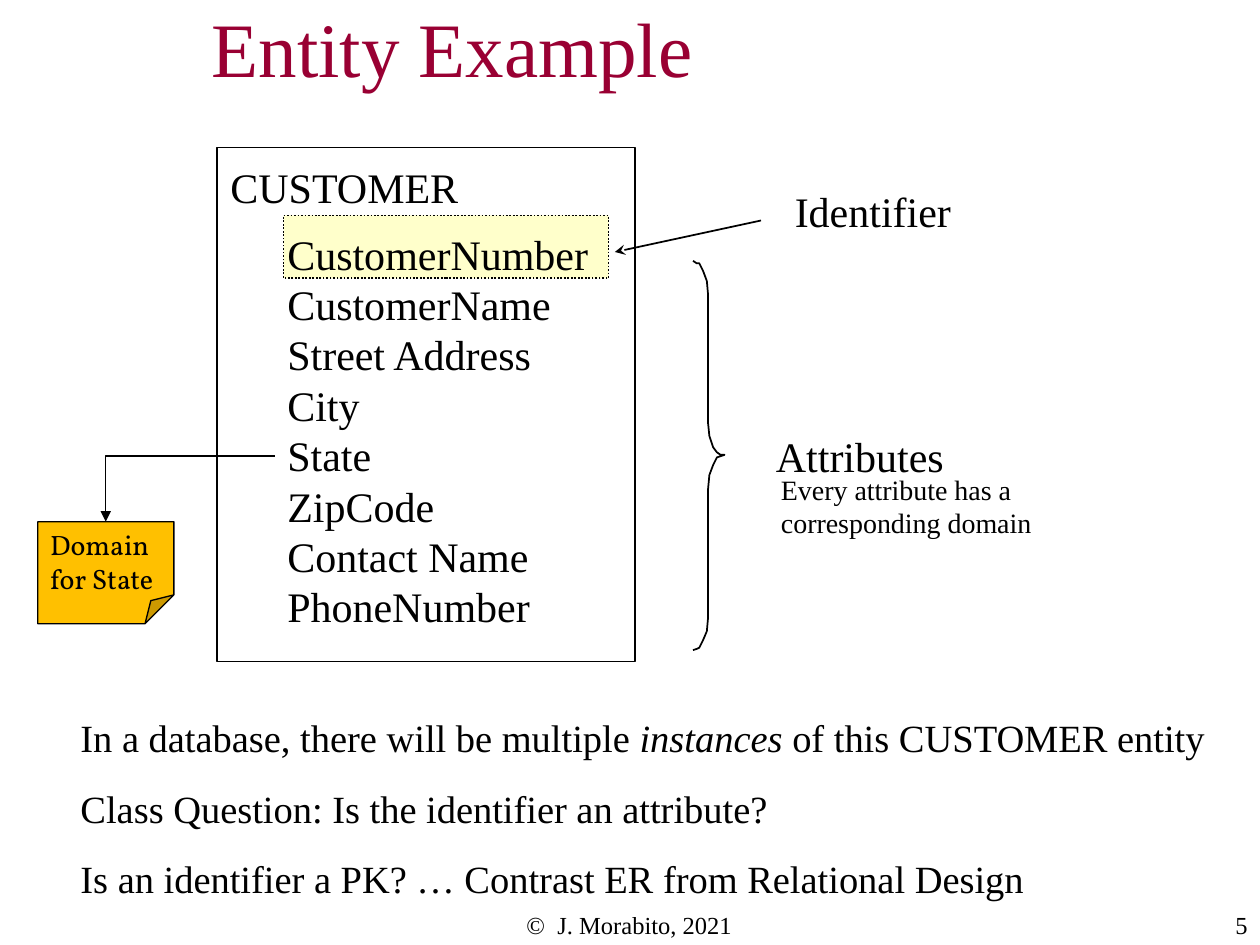
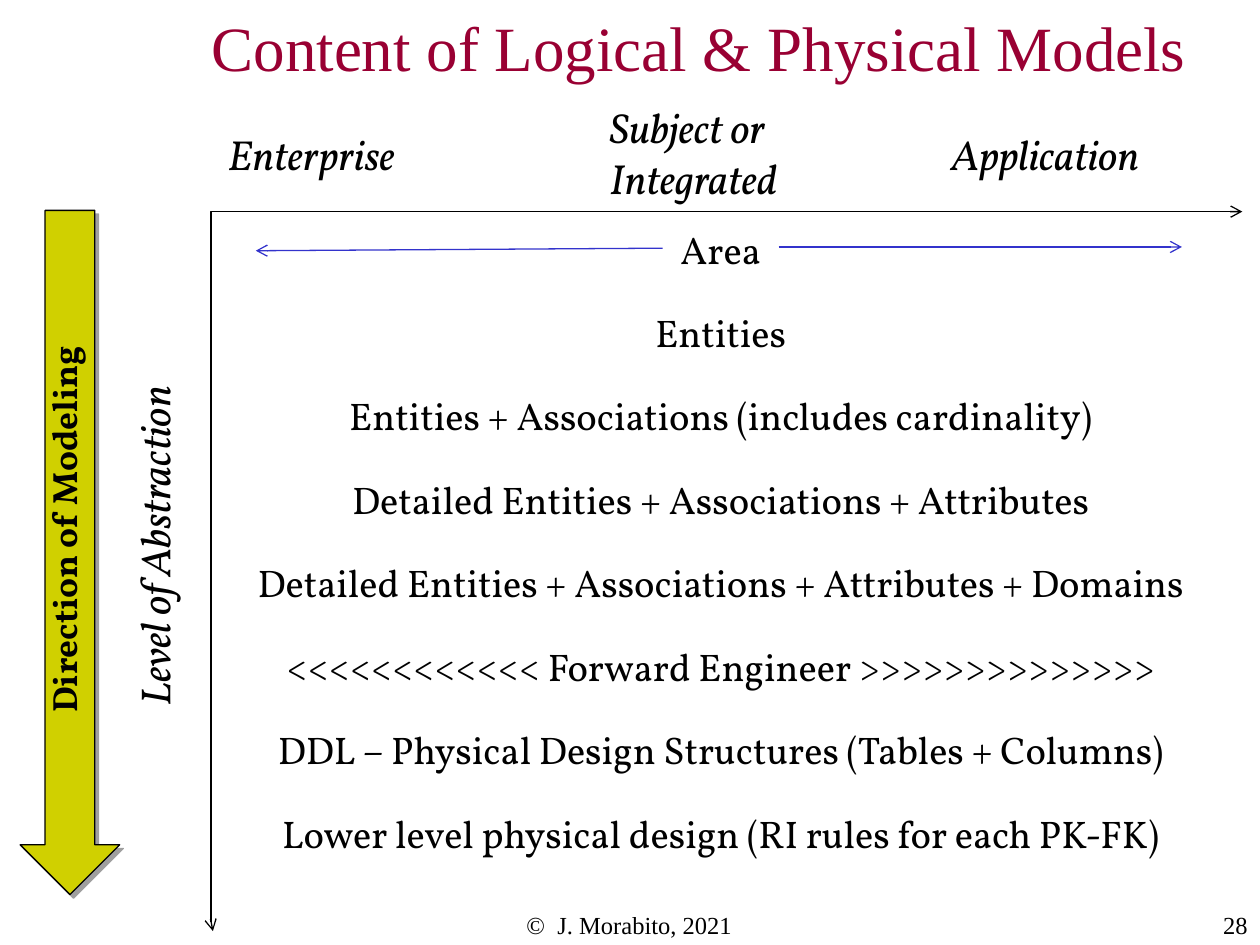
from dataclasses import dataclass
from typing import Optional

from lxml.etree import SubElement
from pptx import Presentation
from pptx.dml.color import RGBColor
from pptx.enum.dml import MSO_LINE
from pptx.enum.shapes import MSO_CONNECTOR, MSO_SHAPE
from pptx.enum.text import MSO_ANCHOR, MSO_AUTO_SIZE, PP_ALIGN
from pptx.oxml.ns import qn
from pptx.util import Inches, Pt

BLACK = "000000"
MAROON = "990033"
PALE_YELLOW = "FFFF99"
AMBER = "FFC000"
OLIVE = "D0D000"
GRAY = "808080"
BLUE = "3333CC"
SERIF = "Times New Roman"
BOOK = "Vollkorn"


@dataclass(frozen=True)
class Box:
    left: float
    top: float
    width: float
    height: float

    def lengths(self) -> tuple:
        return tuple(Inches(v) for v in (self.left, self.top, self.width, self.height))


@dataclass(frozen=True)
class Label:
    text: str
    box: Box
    size: float = 24
    font: str = SERIF
    bold: bool = False
    italic: bool = False
    align: PP_ALIGN = PP_ALIGN.LEFT
    wrap: bool = False
    grow: bool = True
    rotation: float = 0
    gap: float = 0


@dataclass(frozen=True)
class Arrow:
    start: tuple
    end: tuple
    color: str = BLACK
    width: float = 0.75
    head: Optional[str] = None
    tail: Optional[str] = "arrow"
    kind: MSO_CONNECTOR = MSO_CONNECTOR.STRAIGHT


TITLE_BOX = Box(1.58, 0.08, 8.42, 0.58)
FOOTER = Label("©  J. Morabito, 2021", Box(3.41, 7.17, 3.17, 0.25), 14,
               align=PP_ALIGN.CENTER, wrap=True, grow=False)
NUMBER_BOX = Box(8.58, 7.17, 1.42, 0.33)


def rgb(color: str) -> RGBColor:
    return RGBColor.from_string(color)


def write_text(frame, text: str, size: float, font: str = SERIF, color: str = BLACK,
               bold: bool = False, italic: bool = False, align: PP_ALIGN = PP_ALIGN.LEFT,
               gap: float = 0, plain_list: bool = False) -> None:
    for index, line in enumerate(text.split("\n")):
        paragraph = frame.add_paragraph() if index else frame.paragraphs[0]
        if plain_list:
            properties = paragraph._p.get_or_add_pPr()
            properties.set("marL", "0")
            properties.set("indent", "0")
            SubElement(properties, qn("a:buNone"))
        paragraph.alignment = align
        paragraph.space_before = Pt(gap if index else 0)
        for part_index, part in enumerate(line.split("*")):
            run = paragraph.add_run()
            run.text = part
            run.font.name = font
            run.font.size = Pt(size)
            run.font.bold = bold
            run.font.italic = italic or part_index % 2 == 1
            run.font.color.rgb = rgb(color)


def place(shape, box: Box) -> None:
    shape.left, shape.top, shape.width, shape.height = box.lengths()


def add_label(slide, label: Label):
    shape = slide.shapes.add_textbox(*label.box.lengths())
    shape.rotation = label.rotation
    frame = shape.text_frame
    frame.word_wrap = label.wrap
    frame.auto_size = MSO_AUTO_SIZE.SHAPE_TO_FIT_TEXT if label.grow else MSO_AUTO_SIZE.NONE
    write_text(frame, label.text, label.size, label.font, bold=label.bold,
               italic=label.italic, align=label.align, gap=label.gap)
    return shape


def add_list(slide, label: Label) -> None:
    body = slide.placeholders[1]
    place(body, label.box)
    frame = body.text_frame
    frame.word_wrap = True
    frame.auto_size = MSO_AUTO_SIZE.NONE
    write_text(frame, label.text, label.size, label.font, align=label.align,
               gap=label.gap, plain_list=True)
    body.element.getparent().append(body.element)


def style_shape(shape, fill: Optional[str] = None, width: float = 1) -> None:
    shape.shadow.inherit = False
    if fill:
        shape.fill.solid()
        shape.fill.fore_color.rgb = rgb(fill)
    else:
        shape.fill.background()
    shape.line.color.rgb = rgb(BLACK)
    shape.line.width = Pt(width)


def set_geometry(shape, preset: str, **guides: int) -> None:
    geometry = shape.element.spPr.find(qn("a:prstGeom"))
    geometry.set("prst", preset)
    values = geometry.find(qn("a:avLst"))
    for old_guide in list(values):
        values.remove(old_guide)
    for name, value in guides.items():
        SubElement(values, qn("a:gd"), name=name, fmla=f"val {value}")


def add_box(slide, kind: MSO_SHAPE, box: Box, fill: Optional[str] = None, width: float = 1):
    shape = slide.shapes.add_shape(kind, *box.lengths())
    style_shape(shape, fill, width)
    return shape


def add_arrow(slide, arrow: Arrow):
    points = [Inches(v) for v in (*arrow.start, *arrow.end)]
    connector = slide.shapes.add_connector(arrow.kind, *points)
    connector.line.color.rgb = rgb(arrow.color)
    connector.line.width = Pt(arrow.width)
    line = connector.line._get_or_add_ln()
    for tag, kind in (("a:headEnd", arrow.head), ("a:tailEnd", arrow.tail)):
        if kind:
            SubElement(line, qn(tag), type=kind)
    SubElement(connector.element.spPr, qn("a:effectLst"))
    return connector


def add_slide(presentation, title: str, title_size: float, number: int):
    slide = presentation.slides.add_slide(presentation.slide_layouts[1])
    place(slide.shapes.title, TITLE_BOX)
    frame = slide.shapes.title.text_frame
    frame.word_wrap = True
    frame.auto_size = MSO_AUTO_SIZE.NONE
    frame.vertical_anchor = MSO_ANCHOR.MIDDLE
    write_text(frame, title, title_size, color=MAROON)
    add_label(slide, FOOTER)
    add_label(slide, Label(str(number), NUMBER_BOX, 14, align=PP_ALIGN.RIGHT,
                           wrap=True, grow=False))
    return slide


def add_brace(slide) -> None:
    upper = [5.5, 5.53, 5.55, 5.58, 5.61, 5.62, 5.62, 5.63, 5.66, 5.69, 5.72, 5.75]
    across = upper + upper[-2::-1]
    down = [2.07, 2.09, 2.09, 2.15, 2.23, 2.34, 3.36, 3.46, 3.55, 3.59, 3.61, 3.61,
            3.62, 3.63, 3.69, 3.77, 3.88, 4.9, 5.01, 5.08, 5.14, 5.15, 5.16]
    points = [(Inches(x), Inches(y)) for x, y in zip(across, down)]
    builder = slide.shapes.build_freeform(*points[0])
    builder.add_line_segments(points[1:], close=False)
    style_shape(builder.convert_to_shape())


def build_entity_slide(presentation) -> None:
    slide = add_slide(presentation, "Entity Example", 44, 5)

    highlight = add_box(slide, MSO_SHAPE.RECTANGLE, Box(2.25, 1.71, 2.58, 0.5), PALE_YELLOW)
    highlight.line.dash_style = MSO_LINE.ROUND_DOT
    fill_color = highlight.element.spPr.find(qn("a:solidFill")).find(qn("a:srgbClr"))
    SubElement(fill_color, qn("a:alpha"), val="50000")

    add_box(slide, MSO_SHAPE.RECTANGLE, Box(1.72, 1.17, 3.32, 4.08))
    add_arrow(slide, Arrow((6.04, 1.75), (4.88, 2), width=1, tail="stealth"))
    add_brace(slide)
    add_list(slide, Label(
        "CustomerNumber\nCustomerName\nStreet Address\nCity\nState\nZipCode\n"
        "Contact Name\nPhoneNumber", Box(2.18, 1.76, 2.97, 3.3)))

    for label in (
        Label("Identifier", Box(6.21, 1.42, 1.44, 0.5)),
        Label("CUSTOMER", Box(1.73, 1.23, 2.02, 0.5)),
        Label("Attributes", Box(6.06, 3.37, 1.54, 0.5)),
        Label("Every attribute has a corresponding domain",
              Box(6.1, 3.7, 3.06, 0.63), 16, wrap=True),
        Label("In a database, there will be multiple* instances *of this CUSTOMER entity\n"
              "Class Question: Is the identifier an attribute?\n"
              "Is an identifier a PK? … Contrast ER from Relational Design",
              Box(0.54, 5.62, 9.15, 1.58), 22, wrap=True, gap=13.8),
    ):
        add_label(slide, label)

    note = add_box(slide, MSO_SHAPE.FOLDED_CORNER, Box(0.3, 4.14, 1.08, 0.81), AMBER, 0.75)
    set_geometry(note, "foldedCorner", adj=28200)
    note.text_frame.word_wrap = True
    note.text_frame.vertical_anchor = MSO_ANCHOR.TOP
    write_text(note.text_frame, "Domain for State", 16, BOOK)

    domain_arrow = add_arrow(slide, Arrow((2.18, 3.62), (0.84, 4.14), tail="triangle",
                                          kind=MSO_CONNECTOR.ELBOW))
    set_geometry(domain_arrow, "bentConnector2")


def build_models_slide(presentation) -> None:
    slide = add_slide(presentation, "Content of Logical & Physical Models", 36, 28)

    axes = add_arrow(slide, Arrow((1.69, 7.39), (9.86, 1.68), head="arrow",
                                  kind=MSO_CONNECTOR.ELBOW))
    set_geometry(axes, "bentConnector3", adj1=-200)

    add_list(slide, Label(
        "Area\nEntities\nEntities + Associations (includes cardinality)\n"
        "Detailed Entities + Associations + Attributes\n"
        "Detailed Entities + Associations + Attributes + Domains\n"
        "<<<<<<<<<<<< Forward Engineer >>>>>>>>>>>>>>\n"
        "DDL – Physical Design Structures (Tables + Columns)\n"
        "Lower level physical design (RI rules for each PK-FK)",
        Box(1.72, 1.74, 8, 5.14), 22, BOOK, align=PP_ALIGN.CENTER, gap=21.3))

    direction = add_box(slide, MSO_SHAPE.RIGHT_ARROW, Box(-2.16, 3.99, 5.43, 0.79), OLIVE, 0.75)
    direction.rotation = 90
    effects = direction.element.spPr.find(qn("a:effectLst"))
    shadow = SubElement(effects, qn("a:outerShdw"), dist=str(Pt(3)), dir="2700000",
                        algn="ctr", rotWithShape="0")
    shadow_color = SubElement(shadow, qn("a:srgbClr"), val=GRAY)
    SubElement(shadow_color, qn("a:alpha"), val="75000")

    for label in (
        Label("Enterprise", Box(1.71, 0.97, 1.69, 0.5), font=BOOK, italic=True),
        Label("Subject or\nIntegrated", Box(4.74, 0.76, 1.76, 0.9), font=BOOK, italic=True),
        Label("Application", Box(7.45, 0.97, 1.86, 0.5), font=BOOK, italic=True),
        Label("Level of Abstraction", Box(-0.32, 3.91, 3.08, 0.5), font=BOOK,
              italic=True, rotation=270),
        Label("Direction of Modeling", Box(-1.1, 3.93, 3.21, 0.44), 20, BOOK,
              bold=True, rotation=270),
    ):
        add_label(slide, label)

    add_arrow(slide, Arrow((6.18, 1.96), (9.38, 1.96), BLUE))
    add_arrow(slide, Arrow((5.26, 1.97), (2.03, 1.99), BLUE))


def main() -> None:
    presentation = Presentation()
    presentation.slide_width = Inches(10)
    presentation.slide_height = Inches(7.5)
    build_entity_slide(presentation)
    build_models_slide(presentation)
    presentation.save("out.pptx")


if __name__ == "__main__":
    main()
